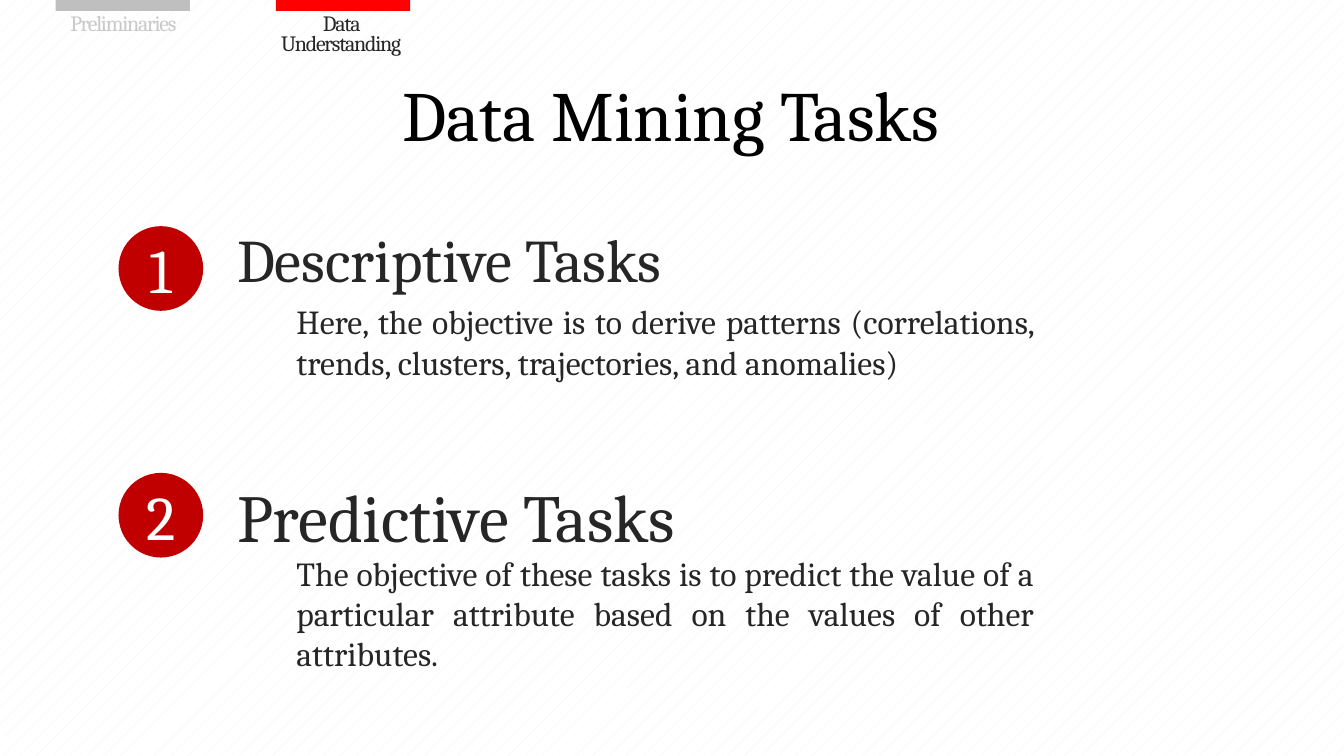
"""Build the Data Mining Tasks slide."""
from pptx import Presentation
from pptx.dml.color import RGBColor
from pptx.enum import dml, shapes, text
from pptx.util import Inches, Pt

FONT = "Cambria"
INK = "262626"
ALIGN = text.PP_ALIGN

TABS = [
    ("Preliminaries", 0.46, 0.24, 1.56, 0.25, "BFBFBF", "C9C9C9"),
    ("Data Understanding", 2.28, 2.1, 1.44, 0.42, "FF0000", INK),
]
TASKS = [
    ("1", 1.87, "Descriptive Tasks", (1.87, 1.79, 3.94, 0.7), 36, 2.44,
     "Here, the objective is to derive patterns (correlations, trends, "
     "clusters, trajectories, and anomalies)"),
    ("2", 3.91, "Predictive Tasks", (1.87, 3.88, 4.06, 0.77), 40, 4.52,
     "The objective of these tasks is to predict the value of a particular "
     "attribute based on the values of other attributes."),
]


def color(value):
    """Turn a hex string into a colour."""
    return RGBColor.from_string(value)


def set_background(slide):
    """Give the slide its faint pattern."""
    fill = slide.background.fill
    fill.patterned()
    fill.pattern = dml.MSO_PATTERN.PERCENT_5
    fill.fore_color.rgb = color("F2F2F2")
    fill.back_color.rgb = color("FFFFFF")


def write(shape, words, size, ink, align, spacing=0, margins=(0.09, 0.05), wrap=True):
    """Put one formatted paragraph into a shape and return it."""
    frame = shape.text_frame
    frame.text = words
    frame.word_wrap = wrap
    frame.margin_left = frame.margin_right = Inches(margins[0])
    frame.margin_top = frame.margin_bottom = Inches(margins[1])
    paragraph = frame.paragraphs[0]
    paragraph.alignment = align
    run = paragraph.runs[0]
    run.font.name = FONT
    run.font.size = Pt(size)
    run.font.color.rgb = color(ink)
    if spacing:
        run.font._element.set("spc", str(spacing))
    return paragraph


def add_text(slide, box, *args, **options):
    """Add a text box and return its shape and paragraph."""
    shape = slide.shapes.add_textbox(*map(Inches, box))
    return shape, write(shape, *args, **options)


def add_filled(slide, kind, box, fill):
    """Add a flat shape without an outline."""
    shape = slide.shapes.add_shape(kind, *map(Inches, box))
    shape.shadow.inherit = False
    shape.fill.solid()
    shape.fill.fore_color.rgb = color(fill)
    shape.line.fill.background()
    return shape


def add_tab(slide, label, bar_left, left, width, height, fill, ink):
    """Add a section marker at the top edge."""
    add_filled(slide, shapes.MSO_SHAPE.RECTANGLE, (bar_left, 0, 1.11, 0.09), fill)
    _, paragraph = add_text(slide, (left, 0.09, width, height), label, 13, ink,
                            ALIGN.CENTER, spacing=-70, margins=(0.08, 0.04))
    paragraph.line_spacing = 0.75


def add_task(slide, number, badge_top, heading, heading_box, size, body_top, body):
    """Add a numbered badge with its heading and description."""
    add_text(slide, (2.36, body_top, 6.28, 1.1), body, 20, INK, ALIGN.JUSTIFY)
    add_text(slide, heading_box, heading, size, INK, ALIGN.LEFT, wrap=False)
    badge = add_filled(slide, shapes.MSO_SHAPE.OVAL, (0.98, badge_top, 0.7, 0.7), "C00000")
    write(badge, number, 37, "FFFFFF", ALIGN.CENTER, spacing=-280,
          margins=(0, 0), wrap=False)
    badge.text_frame.vertical_anchor = text.MSO_ANCHOR.MIDDLE


def main():
    """Build and save the slide."""
    presentation = Presentation()
    presentation.slide_width = Inches(11.11)
    presentation.slide_height = Inches(6.25)
    slide = presentation.slides.add_slide(presentation.slide_layouts[6])
    set_background(slide)
    for tab in TABS:
        add_tab(slide, *tab)
    title, _ = add_text(slide, (0.28, 0.42, 10.53, 1.04), "Data Mining Tasks",
                        42, "000000", ALIGN.CENTER)
    title.text_frame.vertical_anchor = text.MSO_ANCHOR.MIDDLE
    for task in TASKS:
        add_task(slide, *task)
    presentation.save("out.pptx")


if __name__ == "__main__":
    main()
